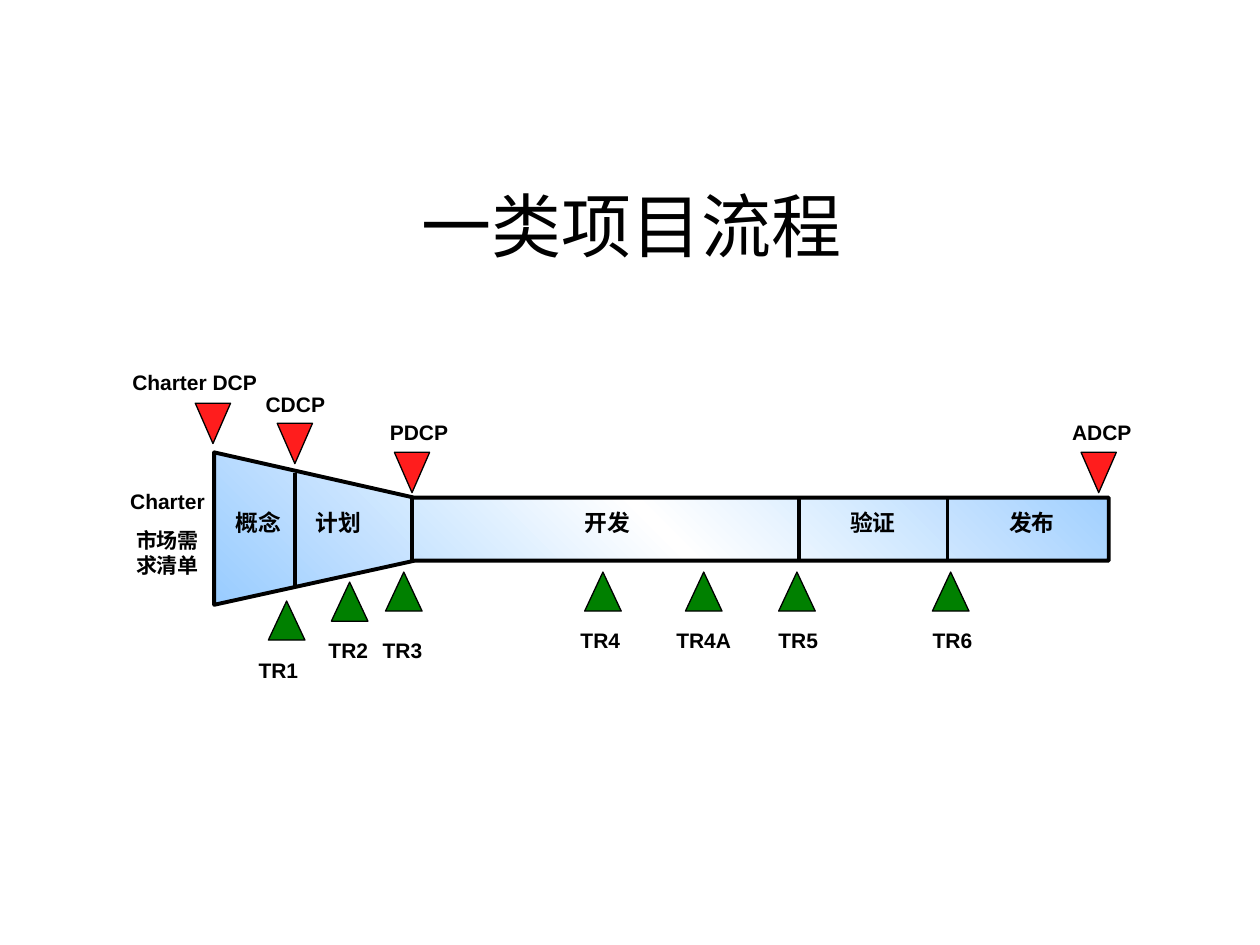
from copy import deepcopy
from pptx import Presentation
from pptx.dml.color import RGBColor
from pptx.enum.shapes import MSO_CONNECTOR as Conn, MSO_SHAPE as Shape
from pptx.enum.text import MSO_ANCHOR as Anchor, MSO_AUTO_SIZE as Auto, PP_ALIGN as Align
from pptx.oxml.ns import qn
from pptx.util import Inches, Pt
from lxml import etree


def paint(color, code):
    color.rgb = RGBColor.from_string(code)


def label(left, top, width, height, text, size, align):
    box = flow.add_textbox(Inches(left), Inches(top), Inches(width), Inches(height))
    frame = box.text_frame
    frame.word_wrap = True
    frame.auto_size = Auto.SHAPE_TO_FIT_TEXT
    frame.text = text
    for i, para in enumerate(frame.paragraphs):
        para.alignment = align
        if i:
            para.space_before = Pt(7.5)
        font = para.runs[0].font
        font.name, font.size, font.bold = "Arial", Pt(size), True
        paint(font.color, "000000")


deck = Presentation()
deck.slide_width, deck.slide_height = Inches(10), Inches(7.5)
slide = deck.slides.add_slide(deck.slide_layouts[5])

# Title
title = slide.shapes.title
title.left, title.top = Inches(0.51), Inches(1.39)
title.width, title.height = Inches(9), Inches(0.79)
frame = title.text_frame
frame.text = "一类项目流程"
frame.vertical_anchor = Anchor.MIDDLE
frame.paragraphs[0].alignment = Align.CENTER
font = frame.paragraphs[0].runs[0].font
font.name, font.size = "Arial", Pt(40)
paint(font.color, "000000")

# Funnel outline with a three-stop gradient
flow = slide.shapes.add_group_shape().shapes
edge = [(3.29, 3.95), (8.8, 3.95), (8.8, 4.45), (3.29, 4.45), (1.7, 4.8)]
pen = flow.build_freeform(Inches(1.7), Inches(3.59))
pen.add_line_segments([(Inches(x), Inches(y)) for x, y in edge], close=True)
funnel = pen.convert_to_shape()
funnel.shadow.inherit = False
funnel.line.width = Pt(2.25)
paint(funnel.line.color, "000000")
funnel.fill.gradient()
funnel.fill.gradient_angle = 45
stops = funnel.element.spPr.find(".//" + qn("a:gsLst"))
stops.append(deepcopy(stops[0]))
shades = [(0, "99CCFF"), (0.5, "FFFFFF"), (1, "99CCFF")]
for stop, (place, code) in zip(funnel.fill.gradient_stops, shades):
    stop.position = place
    paint(stop.color, code)

# Phase dividers
for x, top, end in [(2.34, 3.75, 4.67), (3.27, 3.95, 4.46), (6.34, 3.95, 4.46), (7.52, 3.95, 4.46)]:
    line = flow.add_connector(Conn.STRAIGHT, Inches(x), Inches(top), Inches(x), Inches(end))
    line.line.width = Pt(2.25)
    paint(line.line.color, "000000")
    etree.SubElement(line.element.spPr, qn("a:effectLst"))

# Phase names
phases = [("概念", 1.77, 0.64), ("计划", 2.41, 0.57), ("开发", 4.54, 0.62),
          ("验证", 6.65, 0.79), ("发布", 7.91, 0.79)]
for name, left, width in phases:
    label(left, 3.99, width, 0.32, name, 13, Align.LEFT)

# Input on the left
label(0.9, 3.83, 0.86, 0.81, "Charter\n市场需求清单", 12, Align.CENTER)

# Decision points (red, pointing down) and reviews (green, pointing up):
# name, label left, top and width, marker left and top
decisions = [("Charter DCP", 0.9, 2.88, 1.29, 1.55, 3.2), ("CDCP", 1.93, 3.06, 0.83, 2.2, 3.36),
             ("PDCP", 2.87, 3.28, 0.91, 3.13, 3.59), ("ADCP", 8.31, 3.28, 0.87, 8.58, 3.59)]
reviews = [("TR1", 1.93, 5.17, 0.56, 2.13, 4.77), ("TR2", 2.48, 5.01, 0.57, 2.63, 4.62),
           ("TR3", 2.91, 5.01, 0.57, 3.06, 4.54), ("TR4", 4.45, 4.93, 0.63, 4.64, 4.54),
           ("TR4A", 5.08, 4.93, 1.01, 5.44, 4.54), ("TR5", 6.01, 4.93, 0.65, 6.18, 4.54),
           ("TR6", 7.28, 4.93, 0.56, 7.4, 4.54)]
for marks, code, turn, wide, high in [(decisions, "FF1D1D", 180, 0.28, 0.32),
                                      (reviews, "008000", 0, 0.29, 0.31)]:
    for name, left, top, width, x, y in marks:
        mark = flow.add_shape(Shape.ISOSCELES_TRIANGLE, Inches(x), Inches(y), Inches(wide), Inches(high))
        mark.rotation = turn
        mark.shadow.inherit = False
        mark.fill.solid()
        paint(mark.fill.fore_color, code)
        mark.line.width = Pt(0.75)
        paint(mark.line.color, "000000")
        label(left, top, width, 0.3, name, 12, Align.CENTER)

deck.save("out.pptx")
